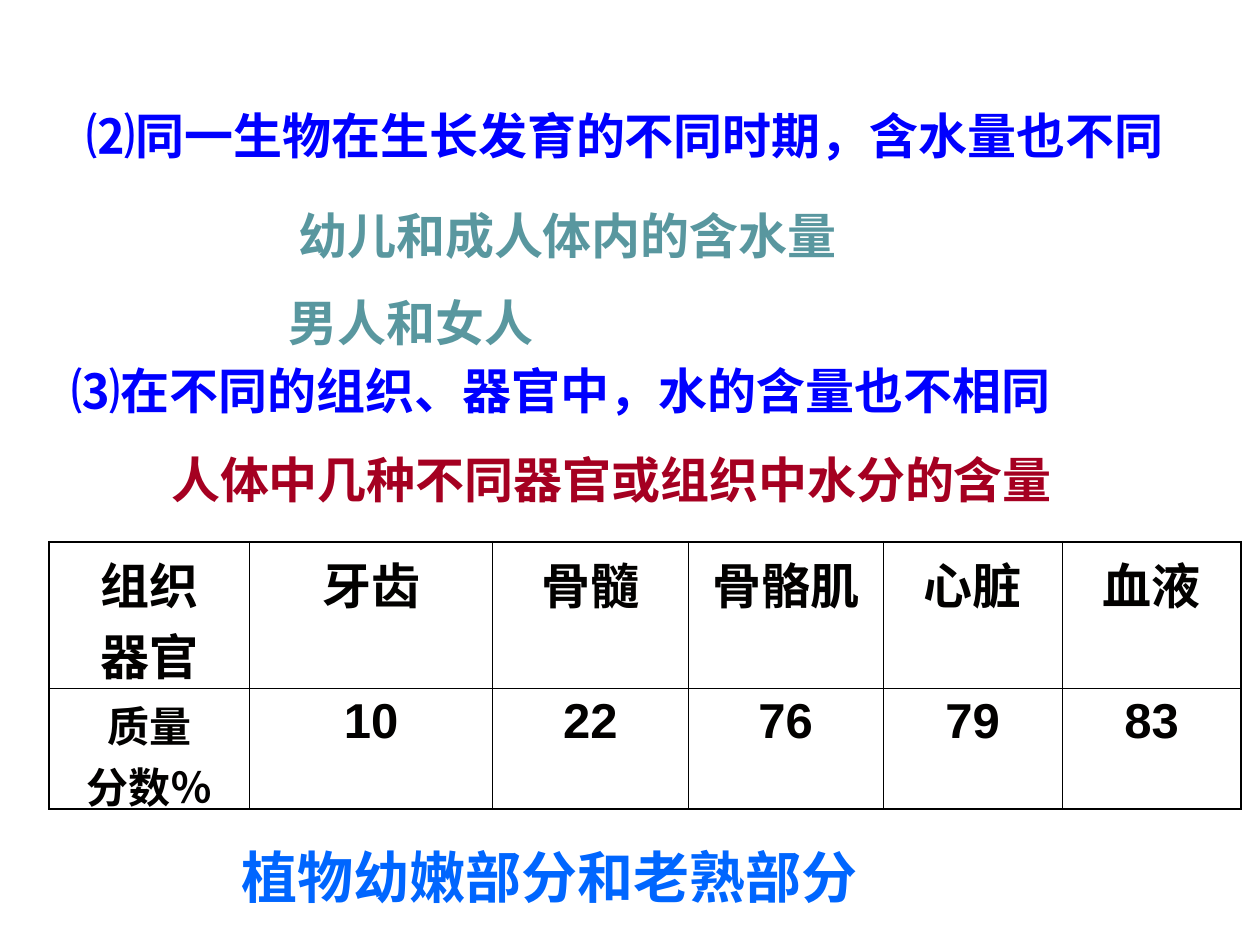
"""Build a slide on how water content varies between life stages and organs."""
from lxml.etree import SubElement
from pptx import Presentation
from pptx.dml.color import RGBColor
from pptx.enum.text import MSO_AUTO_SIZE, PP_ALIGN
from pptx.oxml.ns import qn
from pptx.util import Inches, Pt


def style(para, size, color, font="Arial"):
    for span in para.runs:
        span.font.name = font
        span.font.size = Pt(size)
        span.font.bold = True
        span.font.color.rgb = RGBColor.from_string(color)


def add_border(cell, side, width):
    line = SubElement(cell._tc.get_or_add_tcPr(), qn(f"a:ln{side}"), w=str(Pt(width)))
    fill = SubElement(line, qn("a:solidFill"))
    SubElement(fill, qn("a:srgbClr"), val="000000")


deck = Presentation()
deck.slide_width, deck.slide_height = Inches(10), Inches(7.5)
page = deck.slides.add_slide(deck.slide_layouts[6])

BLUE, TEAL, RED, SKY, INK = "0000FF", "59979F", "A50021", "0066FF", "020100"
lines = [
    ("⑵同一生物在生长发育的不同时期，含水量也不同", 0.59, 0.79, 8.92, 0.57, 28, BLUE, "Arial", True),
    ("幼儿和成人体内的含水量", 2.27, 1.58, 4.84, 0.57, 28, TEAL, "Arial", True),
    ("男人和女人", 2.19, 2.27, 2.58, 0.57, 28, TEAL, "Arial", True),
    ("⑶在不同的组织、器官中，水的含量也不相同", 0.47, 2.81, 8.44, 0.57, 28, BLUE, "Arial", True),
    ("人体中几种不同器官或组织中水分的含量", 1.26, 3.52, 7.22, 0.57, 28, RED, "Times New Roman", False),
    ("植物幼嫩部分和老熟部分", 1.82, 6.64, 5.15, 0.64, 32, SKY, "Arial", False),
]
for text, left, top, width, height, size, color, font, wrap in lines:
    box = page.shapes.add_textbox(Inches(left), Inches(top), Inches(width), Inches(height))
    frame = box.text_frame
    frame.word_wrap = wrap
    frame.auto_size = MSO_AUTO_SIZE.SHAPE_TO_FIT_TEXT
    frame.text = text
    style(frame.paragraphs[0], size, color, font)

rows = [
    ["组织\v器官", "牙齿", "骨髓", "骨骼肌", "心脏", "血液"],
    ["质量\v分数％", "10", "22", "76", "79", "83"],
]
column_widths = [1.59, 1.93, 1.55, 1.55, 1.42, 1.42]
row_heights = [1.16, 0.96]
last_row, last_column = len(rows) - 1, len(column_widths) - 1
table = page.shapes.add_table(
    len(rows), len(column_widths), Inches(0.39), Inches(4.3),
    Inches(sum(column_widths)), Inches(sum(row_heights)),
).table
table.first_row = table.horz_banding = False
for column, width in zip(table.columns, column_widths):
    column.width = Inches(width)
for row, height in zip(table.rows, row_heights):
    row.height = Inches(height)

for r, values in enumerate(rows):
    for c, value in enumerate(values):
        cell = table.cell(r, c)
        para = cell.text_frame.paragraphs[0]
        para.text = value
        para.alignment = PP_ALIGN.CENTER
        style(para, 24 if (r, c) == (last_row, 0) else 28, INK)
        outer = {"L": c == 0, "R": c == last_column, "T": r == 0, "B": r == last_row}
        for side, is_outer in outer.items():
            add_border(cell, side, 1.08 if is_outer else 0.45)
        cell.fill.background()

deck.save("out.pptx")
